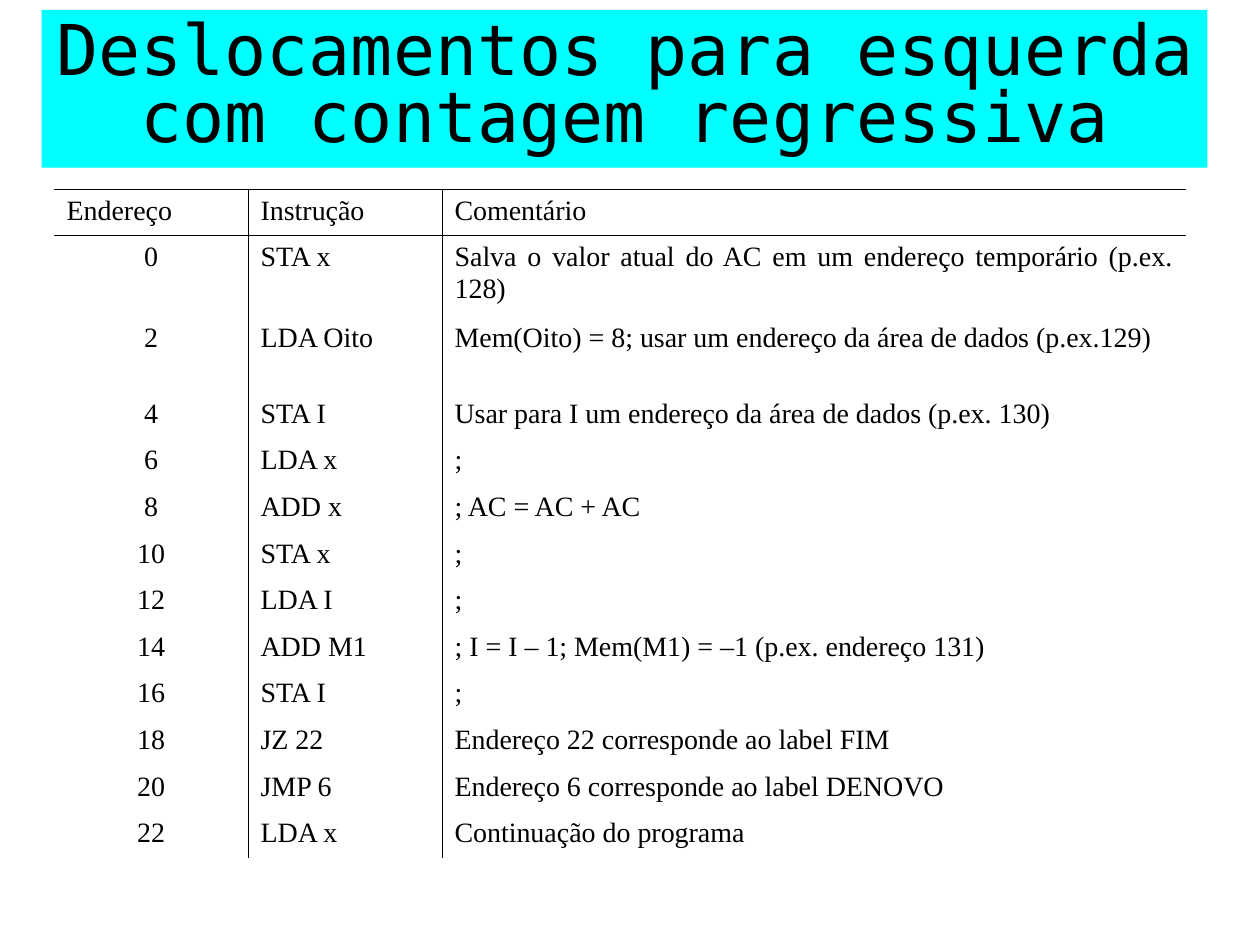
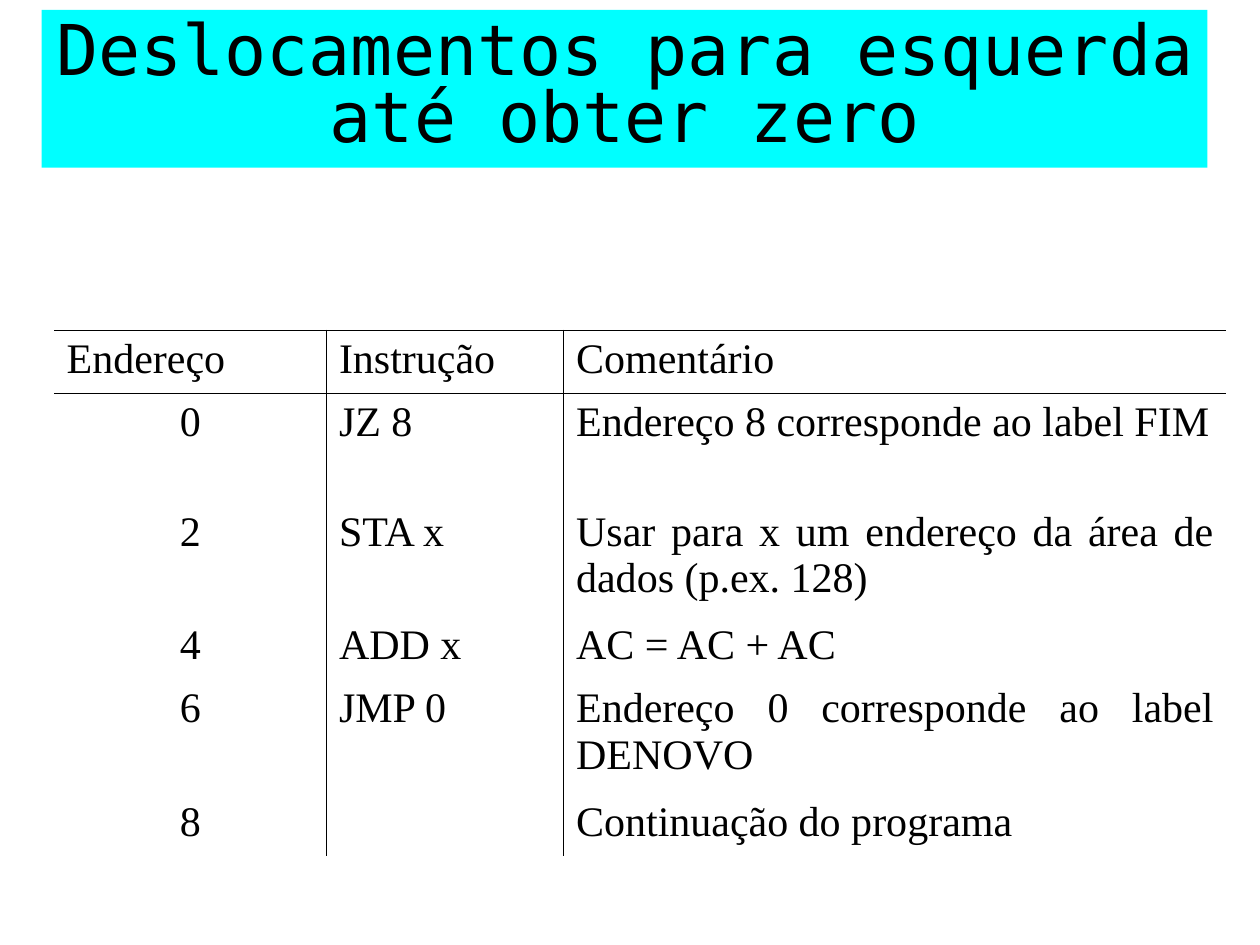
from lxml.etree import SubElement
from pptx import Presentation
from pptx.dml.color import RGBColor as Rgb
from pptx.enum.text import MSO_ANCHOR as Anchor, MSO_AUTO_SIZE as Auto, PP_ALIGN as Align
from pptx.oxml.ns import qn
from pptx.util import Cm, Pt

HEX = {"band": "00FFFF", "ink": "000000"}
PLAIN = "{2D5ABB26-0587-4C30-8999-92F81FD0307C}"
HEAD = ("Endereço", "Instrução", "Comentário")
TITLE = {"left": Cm(0.84), "top": Cm(0.2), "width": Cm(23.5), "height": Cm(3.18)}
FRAME = {"word_wrap": True, "auto_size": Auto.NONE, "vertical_anchor": Anchor.MIDDLE,
         "margin_left": Cm(0.25), "margin_right": Cm(0.25),
         "margin_top": Cm(0.13), "margin_bottom": Cm(0.13)}

SLIDES = [
    {
        "title": "Deslocamentos para esquerda com contagem regressiva",
        "top": 3.81,
        "size": 16,
        "cols": (3.91, 3.91, 14.99),
        "low": 0.94,
        "tall": {1: 1.63, 2: 1.52},
        "steps": [
            ("STA x", "Salva o valor atual do AC em um endereço temporário (p.ex. 128)"),
            ("LDA Oito", "Mem(Oito) = 8; usar um endereço da área de dados (p.ex.129)"),
            ("STA I", "Usar para I um endereço da área de dados (p.ex. 130)"),
            ("LDA x", ";"),
            ("ADD x", "; AC = AC + AC"),
            ("STA x", ";"),
            ("LDA I", ";"),
            ("ADD M1", "; I = I – 1; Mem(M1) = –1 (p.ex. endereço 131)"),
            ("STA I", ";"),
            ("JZ 22", "Endereço 22 corresponde ao label FIM"),
            ("JMP 6", "Endereço 6 corresponde ao label DENOVO"),
            ("LDA x", "Continuação do programa"),
        ],
    },
    {
        "title": "Deslocamentos para esquerda até obter zero",
        "top": 6.65,
        "size": 24,
        "cols": (5.49, 4.78, 13.36),
        "low": 1.27,
        "tall": {1: 2.21, 2: 2.29, 4: 2.29},
        "steps": [
            ("JZ 8", "Endereço 8 corresponde ao label FIM"),
            ("STA x", "Usar para x um endereço da área de dados (p.ex. 128)"),
            ("ADD x", "AC = AC + AC"),
            ("JMP 0", "Endereço 0 corresponde ao label DENOVO"),
            ("", "Continuação do programa"),
        ],
    },
]


def write(para, text, face, size, align):
    para.alignment = align
    if text:
        run = para.add_run()
        run.text = text
        run.font.name = face
        run.font.size = Pt(size)
        run.font.color.rgb = Rgb.from_string(HEX["ink"])


def rule(cell, sides):
    """Draw a thin line on the named sides (of L, R, T, B) and none on the rest."""
    props = cell._tc.get_or_add_tcPr()
    for side in "LRTB":
        line = SubElement(props, qn(f"a:ln{side}"), w=str(Pt(0.45)))
        if side in sides:
            fill = SubElement(line, qn("a:solidFill"))
            SubElement(fill, qn("a:srgbClr"), val=HEX["ink"])
        else:
            SubElement(line, qn("a:noFill"))


deck = Presentation()
deck.slide_width, deck.slide_height = Cm(25.4), Cm(19.05)

for data in SLIDES:
    slide = deck.slides.add_slide(deck.slide_layouts[5])
    title = slide.shapes.title
    for name, value in TITLE.items():
        setattr(title, name, value)
    title.fill.solid()
    title.fill.fore_color.rgb = Rgb.from_string(HEX["band"])
    for name, value in FRAME.items():
        setattr(title.text_frame, name, value)
    para = title.text_frame.paragraphs[0]
    para.line_spacing = 0.8
    write(para, data["title"], "DejaVu Sans Mono", 40, Align.CENTER)

    # Each instruction takes two addresses.
    rows = [HEAD] + [(str(2 * n), *step) for n, step in enumerate(data["steps"])]
    highs = [data["tall"].get(n, data["low"]) for n in range(len(rows))]
    frame = slide.shapes.add_table(len(rows), len(HEAD), Cm(1.09), Cm(data["top"]),
                                   Cm(sum(data["cols"])), Cm(sum(highs)))
    table = frame.table
    table.first_row = table.horz_banding = False
    table._tbl.tblPr.find(qn("a:tableStyleId")).text = PLAIN
    for col, wide in zip(table.columns, data["cols"]):
        col.width = Cm(wide)
    for row, high in zip(table.rows, highs):
        row.height = Cm(high)

    for r, row in enumerate(rows):
        for c, text in enumerate(row):
            cell = table.cell(r, c)
            rule(cell, ("R", "LR", "L")[c] + ("TB" if r == 0 else "T" if r == 1 else ""))
            cell.fill.background()
            align = Align.CENTER if r and c == 0 else Align.JUSTIFY
            write(cell.text_frame.paragraphs[0], text, "Times New Roman", data["size"], align)

deck.save("out.pptx")
